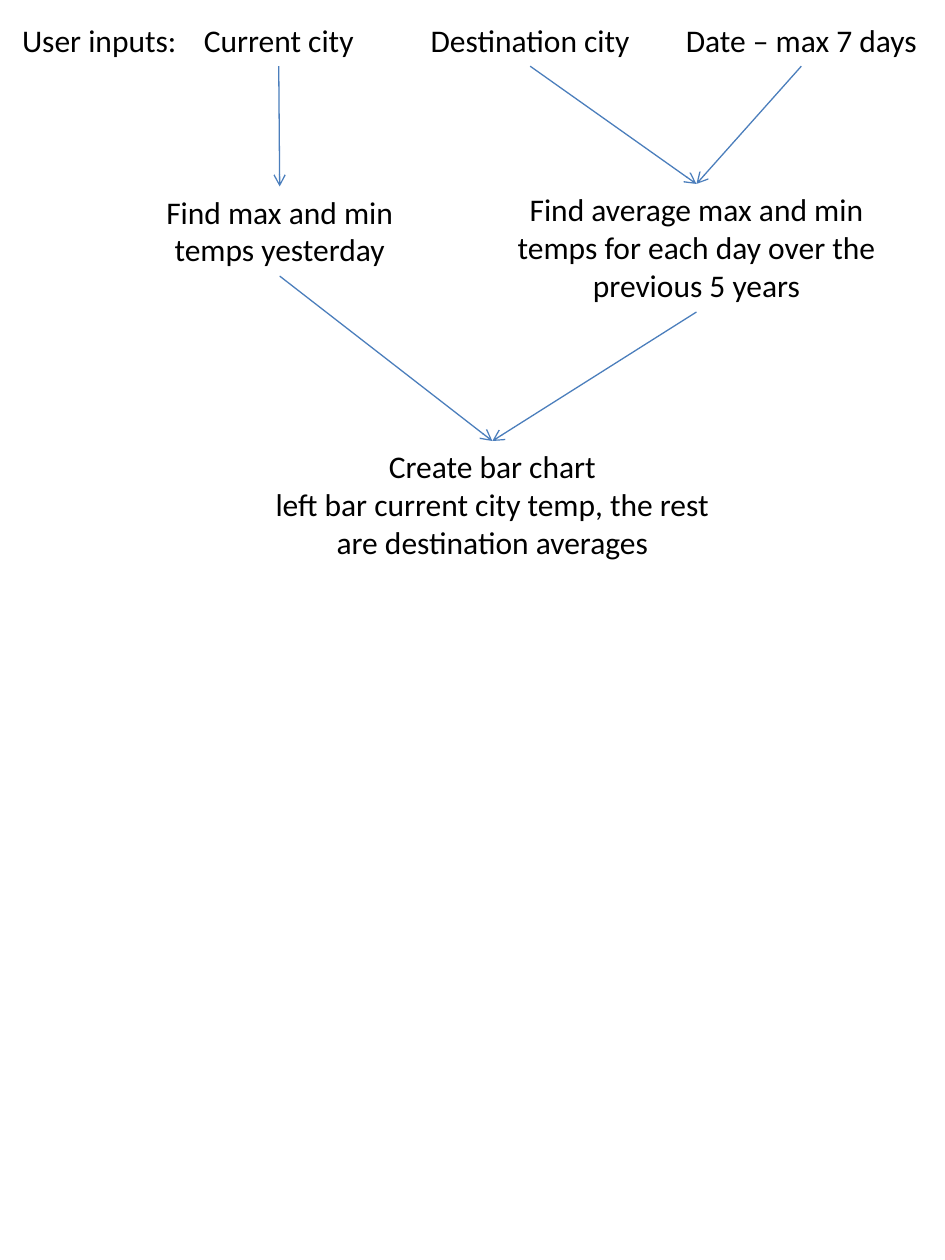
from lxml import etree
from pptx import Presentation
from pptx.dml.color import RGBColor
from pptx.enum.shapes import MSO_CONNECTOR
from pptx.enum.text import MSO_AUTO_SIZE, PP_ALIGN
from pptx.oxml.ns import qn
from pptx.util import Inches, Pt

STRAIGHT = MSO_CONNECTOR.STRAIGHT
CENTER = PP_ALIGN.CENTER
FIT_SHAPE = MSO_AUTO_SIZE.SHAPE_TO_FIT_TEXT
TOP_SIDE, BOTTOM_SIDE = 0, 2

COLORS = {"text": "000000", "arrow": "4B7EBC", "background": "FFFFFF"}
FONT, FONT_SIZE = "Calibri", Pt(18)
LINE_HEIGHT, PADDING = Pt(22), Inches(0.1)

# Rows, centres and widths are percentages of the slide's height and width.
INPUT_ROW, RESULT_ROW = 1.2, 35

# name: (paragraphs, centre, row, width, number of lines)
BOXES = {
    "label": (["User inputs:"], 10.5, INPUT_ROW, 20.9, 1),
    "current": (["Current city"], 29.5, INPUT_ROW, 20, 1),
    "destination": (["Destination city"], 56.1, INPUT_ROW, 24.7, 1),
    "date": (["Date – max 7 days"], 84.8, INPUT_ROW, 27.6, 1),
    "yesterday": (["Find max and min temps yesterday"], 29.6, 14.8, 29.3, 2),
    "averages": (
        ["Find average max and min temps for each day over the previous 5 years"],
        73.7, 14.6, 45.2, 3),
    "chart": (
        ["Create bar chart",
         "left bar current city temp, the rest are destination averages"],
        52.1, RESULT_ROW, 52.5, 3),
}

FLOWS = [
    ("current", "yesterday"),
    ("destination", "averages"),
    ("date", "averages"),
    ("yesterday", "chart"),
    ("averages", "chart"),
]

presentation = Presentation()
presentation.slide_width = Inches(7.5)
presentation.slide_height = Inches(10)
column = presentation.slide_width / 100
row_height = presentation.slide_height / 100


def add_box(slide, paragraphs, center, row, width, lines):
    box = slide.shapes.add_textbox(
        round((center - width / 2) * column), round(row * row_height),
        round(width * column), LINE_HEIGHT * lines + PADDING)
    text_frame = box.text_frame
    text_frame.word_wrap = True
    text_frame.auto_size = FIT_SHAPE
    text_frame.text = "\n".join(paragraphs)
    for paragraph in text_frame.paragraphs:
        paragraph.alignment = CENTER
        for run in paragraph.runs:
            run.font.name = FONT
            run.font.size = FONT_SIZE
            run.font.color.rgb = RGBColor.from_string(COLORS["text"])
    return box


def add_arrow(slide, source, target):
    """Join the bottom of one box to the top of another."""
    arrow = slide.shapes.add_connector(STRAIGHT, 0, 0, 0, 0)
    arrow.begin_connect(source, BOTTOM_SIDE)
    arrow.end_connect(target, TOP_SIDE)
    arrow.line.color.rgb = RGBColor.from_string(COLORS["arrow"])
    arrow.line.width = Pt(0.75)
    properties = arrow.element.spPr
    etree.SubElement(properties.find(qn("a:ln")), qn("a:tailEnd"), type="arrow")
    etree.SubElement(properties, qn("a:effectLst"))


slide = presentation.slides.add_slide(presentation.slide_layouts[6])
slide.background.fill.solid()
slide.background.fill.fore_color.rgb = RGBColor.from_string(COLORS["background"])

boxes = {name: add_box(slide, *details) for name, details in BOXES.items()}
for source, target in FLOWS:
    add_arrow(slide, boxes[source], boxes[target])

presentation.save("out.pptx")
